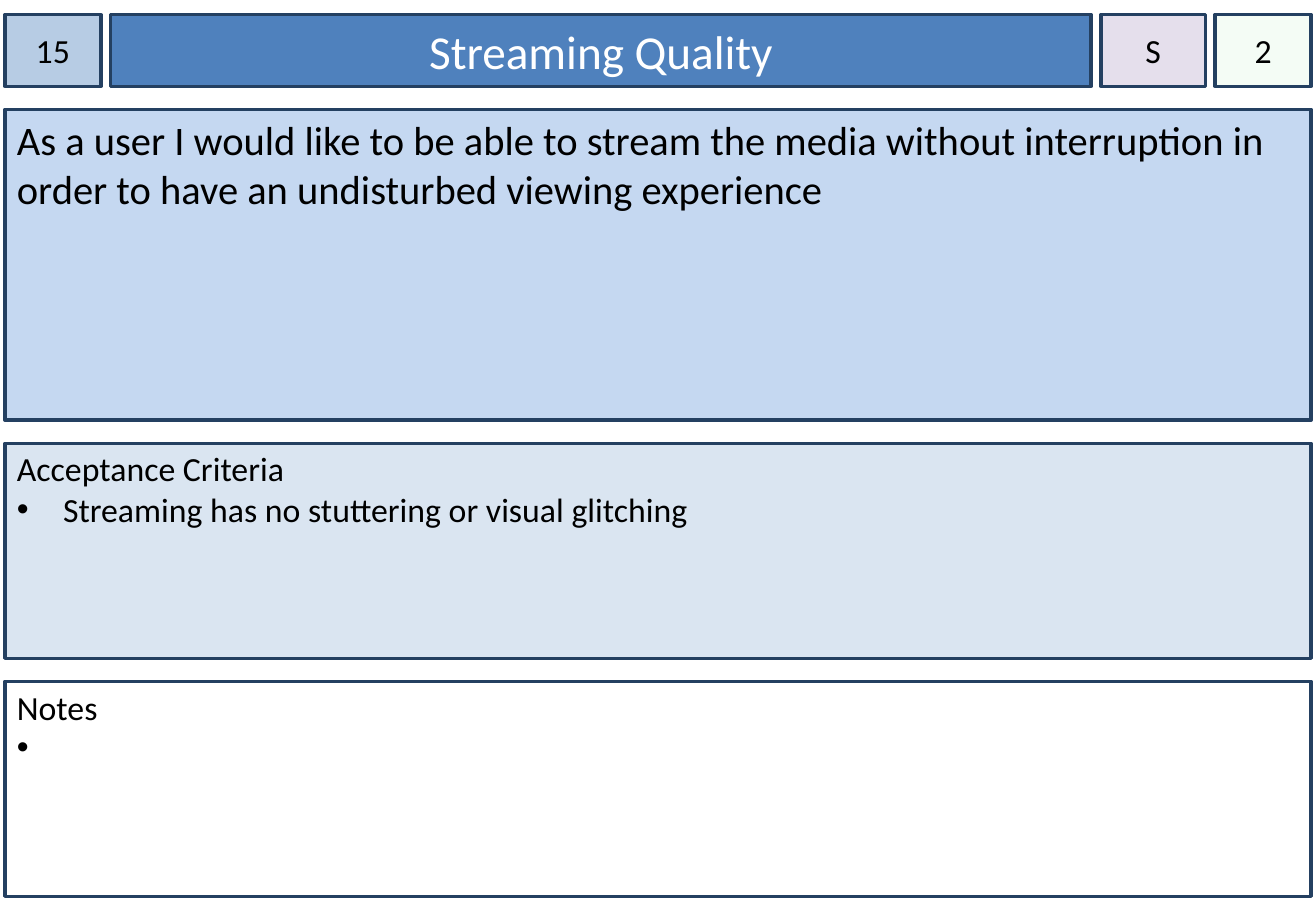
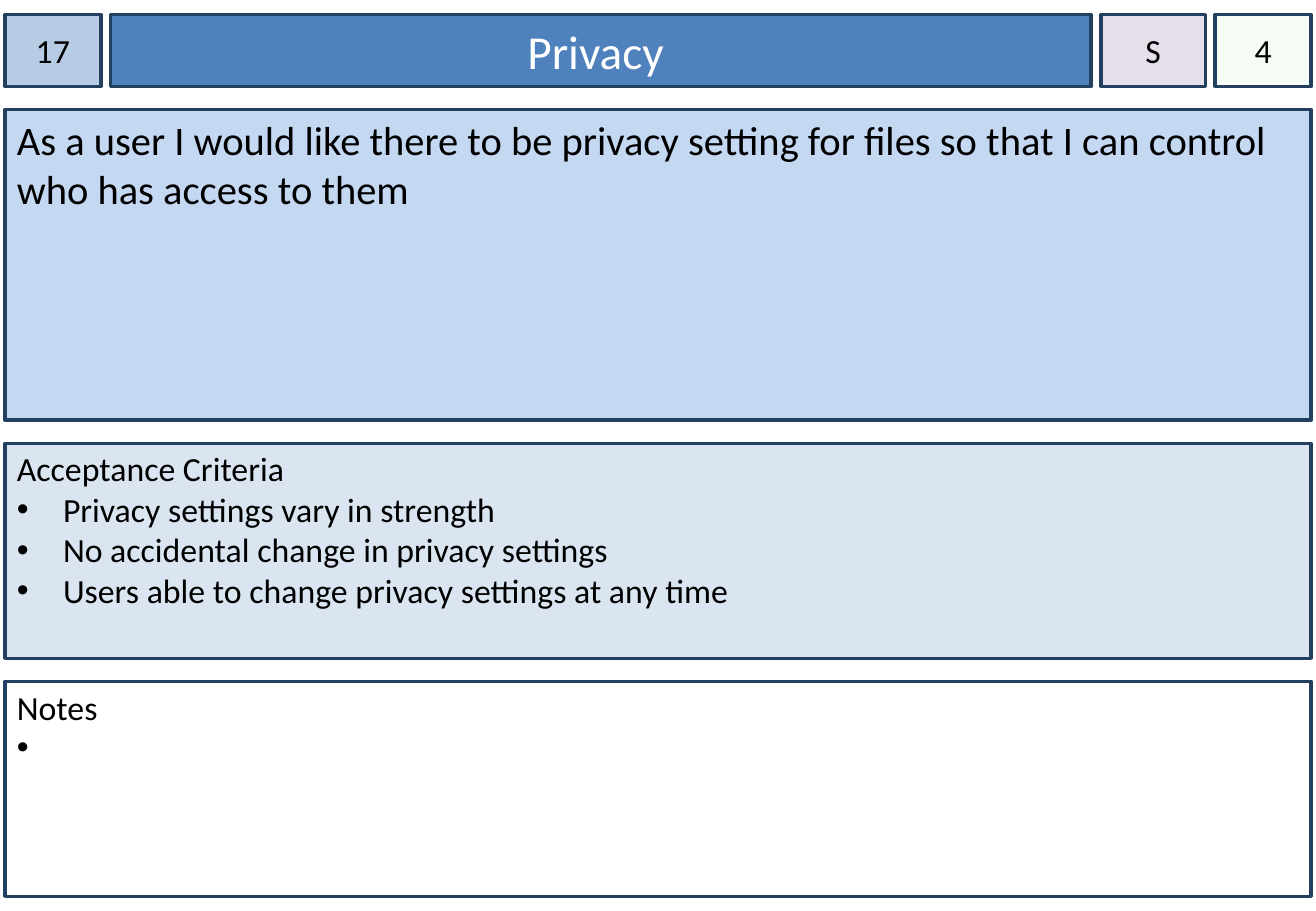
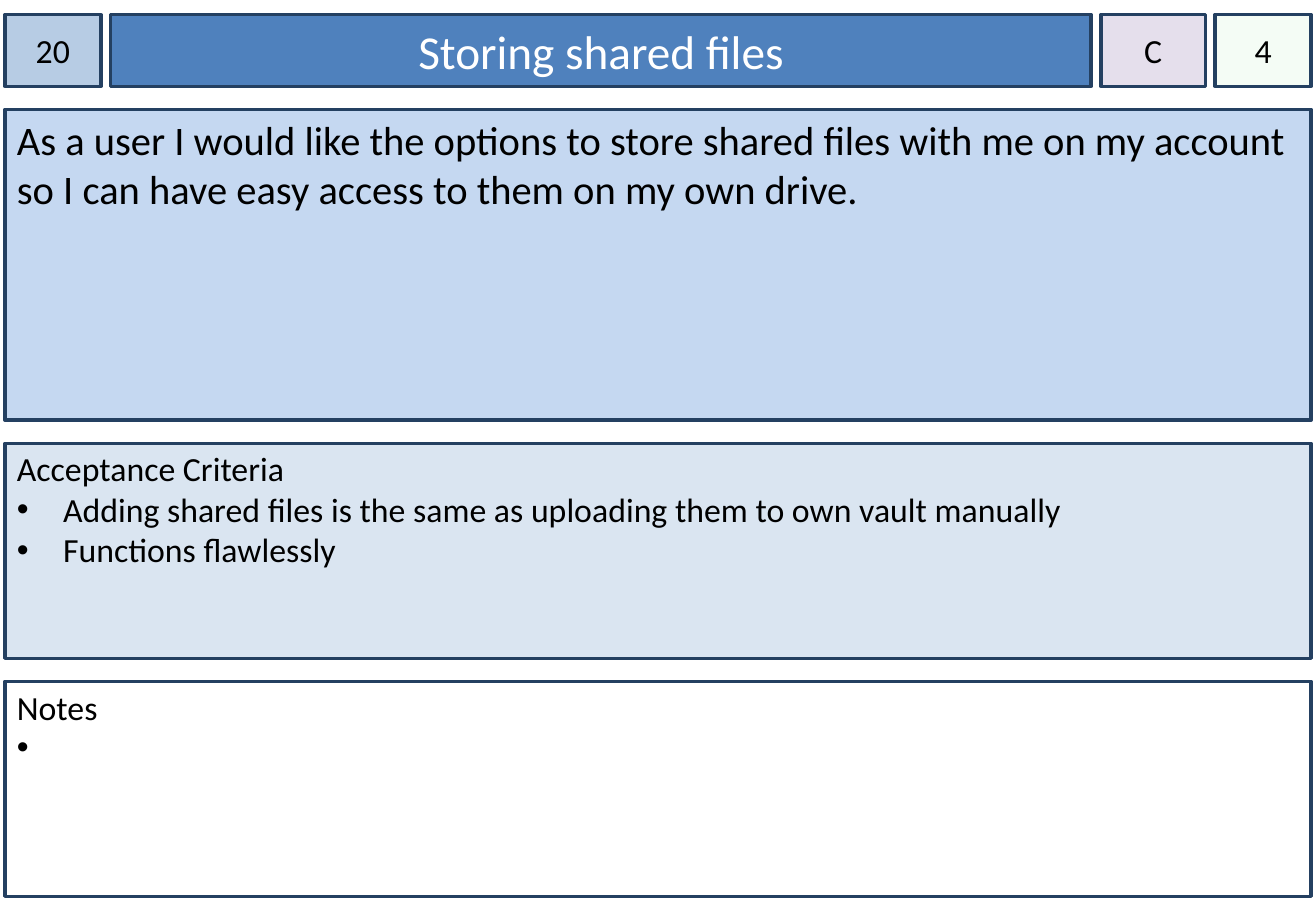
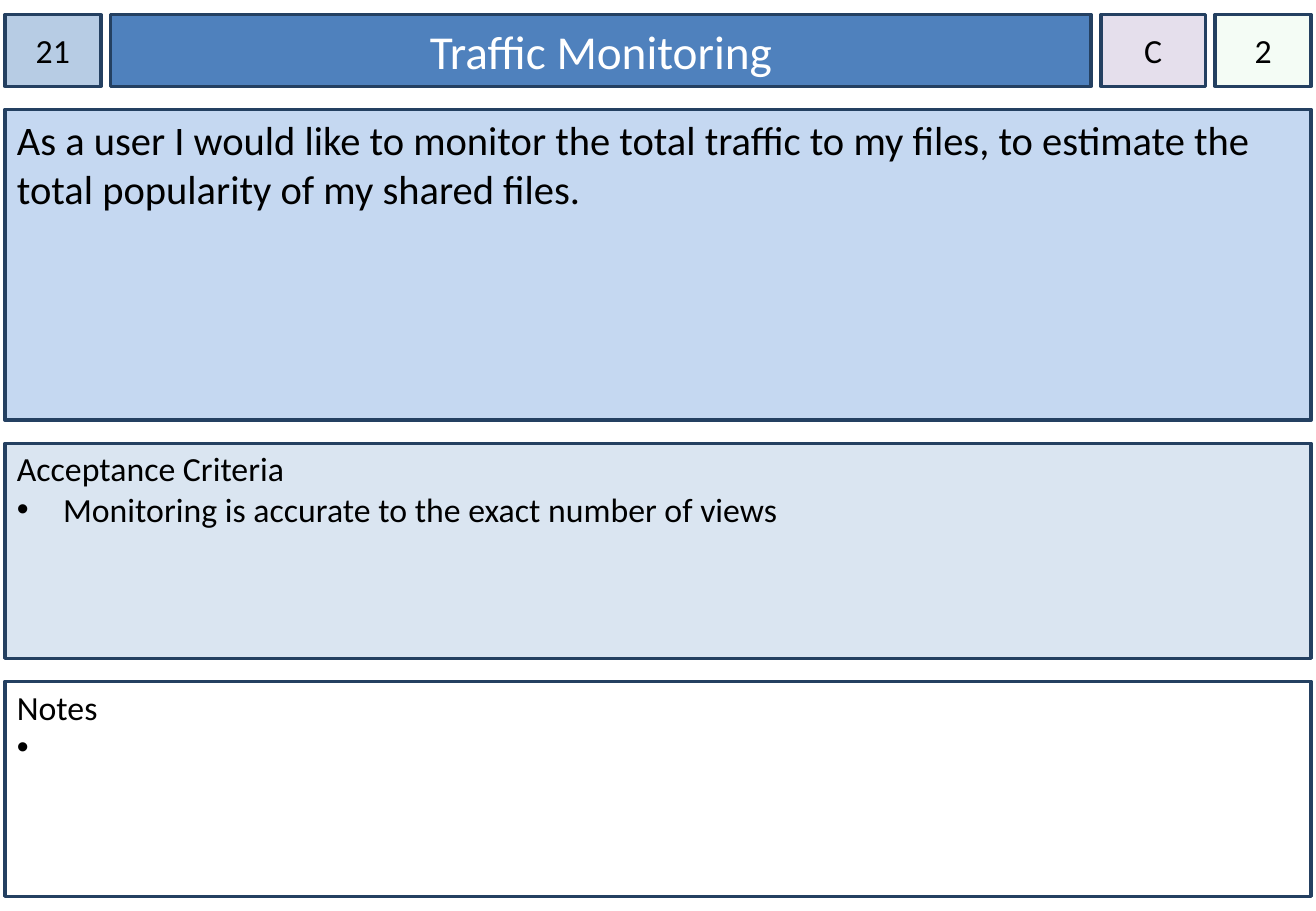
from dataclasses import dataclass

from lxml import etree
from pptx import Presentation
from pptx import util as u
from pptx.dml.color import RGBColor
from pptx.enum import shapes, text
from pptx.oxml import ns

FONT = "Calibri"
BLACK = RGBColor(0x00, 0x00, 0x00)
WHITE = RGBColor(0xFF, 0xFF, 0xFF)
NAVY = RGBColor(0x24, 0x40, 0x61)
TITLE_BLUE = RGBColor(0x4F, 0x81, 0xBD)
NUMBER_BLUE = RGBColor(0xB7, 0xCC, 0xE4)
STORY_BLUE = RGBColor(0xC5, 0xD8, 0xF1)
CRITERIA_BLUE = RGBColor(0xDA, 0xE5, 0xF1)
PRIORITY_LILAC = RGBColor(0xE5, 0xDF, 0xEC)
ESTIMATE_GREEN = RGBColor(0xCC, 0xF0, 0xCD)

SLIDE_WIDTH, SLIDE_HEIGHT = 10.83, 7.5
LEFT, TOP = 0.04, 0.12
COLUMN_GAP, ROW_GAP = 0.08, 0.19
FULL_WIDTH = 10.75


def tracks(start, gap, sizes):
    """Return (start, size) for consecutive tracks separated by equal gaps."""
    return [(start + sum(sizes[:i]) + gap * i, size) for i, size in enumerate(sizes)]


NUMBER, TITLE, PRIORITY, ESTIMATE = tracks(LEFT, COLUMN_GAP, [0.79, 8.07, 0.86, 0.79])
HEADER, STORY, CRITERIA, NOTES = tracks(TOP, ROW_GAP, [0.59, 2.56, 1.77, 1.77])
FULL = (LEFT, FULL_WIDTH)


@dataclass
class Card:
    number: int
    title: str
    priority: str
    estimate: int
    story: str
    criteria: list


CARDS = [
    Card(15, "Streaming Quality", "S", 2,
         "As a user I would like to be able to stream the media without interruption "
         "in order to have an undisturbed viewing experience",
         ["Streaming has no stuttering or visual glitching"]),
    Card(17, "Privacy ", "S", 4,
         "As a user I would like there to be privacy setting for files so that I can "
         "control who has access to them",
         ["Privacy settings vary in strength",
          "No accidental change in privacy settings",
          "Users able to change privacy settings at any time"]),
    Card(20, "Storing shared files", "C", 4,
         "As a user I would like the options to store shared files with me on my "
         "account so I can have easy access to them on my own drive.",
         ["Adding shared files is the same as uploading them to own vault manually",
          "Functions flawlessly"]),
    Card(21, "Traffic Monitoring", "C", 2,
         "As a user I would like to monitor the total traffic to my files, to estimate "
         "the total popularity of my shared files.",
         ["Monitoring is accurate to the exact number of views"]),
]


def add_box(slide):
    box = slide.shapes.add_shape(shapes.MSO_SHAPE.RECTANGLE, 0, 0, 0, 0)
    box.shadow.inherit = False
    return box


def format_box(shape, column, row, fill, anchor, side_inset=0.1, top_inset=0.05):
    """Place a shape in a grid cell and give it the card's frame."""
    shape.left, shape.width = (u.Inches(length) for length in column)
    shape.top, shape.height = (u.Inches(length) for length in row)
    shape.fill.solid()
    shape.fill.fore_color.rgb = fill
    shape.line.color.rgb = NAVY
    shape.line.width = u.Pt(2)
    frame = shape.text_frame
    frame.word_wrap = True
    frame.auto_size = text.MSO_AUTO_SIZE.NONE
    frame.vertical_anchor = anchor
    frame.margin_left = frame.margin_right = u.Inches(side_inset)
    frame.margin_top = u.Inches(top_inset)
    frame.margin_bottom = u.Inches(0.05)


def write(paragraph, content, size, align=text.PP_ALIGN.LEFT, color=BLACK):
    paragraph.text = content
    paragraph.alignment = align
    paragraph.font.name = FONT
    paragraph.font.size = u.Pt(size)
    paragraph.font.color.rgb = color


def set_bullet(paragraph, indent):
    properties = paragraph._p.get_or_add_pPr()
    properties.set("marL", str(u.Inches(indent)))
    properties.set("indent", str(-u.Inches(indent)))
    etree.SubElement(properties, ns.qn("a:buFont"), typeface="Arial")
    etree.SubElement(properties, ns.qn("a:buChar"), char="•")


def set_opacity(shape, percent):
    color = shape.fill._xPr.find(ns.qn("a:solidFill"))[0]
    etree.SubElement(color, ns.qn("a:alpha"), val=str(percent * 1000))


def fill_title(slide, content):
    title = slide.shapes.title
    format_box(title, TITLE, HEADER, TITLE_BLUE, text.MSO_ANCHOR.MIDDLE)
    write(title.text_frame.paragraphs[0], content, 28, text.PP_ALIGN.CENTER, WHITE)


def add_badge(slide, column, fill, content):
    badge = add_box(slide)
    format_box(badge, column, HEADER, fill, text.MSO_ANCHOR.MIDDLE, side_inset=0)
    write(badge.text_frame.paragraphs[0], str(content), 20, text.PP_ALIGN.CENTER)
    return badge


def add_panel(slide, row, fill, heading, size=20, bullets=(), indent=0.0, top_inset=0.04):
    panel = add_box(slide)
    format_box(panel, FULL, row, fill, text.MSO_ANCHOR.TOP, top_inset=top_inset)
    write(panel.text_frame.paragraphs[0], heading, size)
    for bullet in bullets:
        paragraph = panel.text_frame.add_paragraph()
        set_bullet(paragraph, indent)
        write(paragraph, bullet, size)


def add_card(presentation, card):
    slide = presentation.slides.add_slide(presentation.slide_layouts[5])
    fill_title(slide, card.title)
    add_badge(slide, NUMBER, NUMBER_BLUE, card.number)
    add_badge(slide, PRIORITY, PRIORITY_LILAC, card.priority)
    set_opacity(add_badge(slide, ESTIMATE, ESTIMATE_GREEN, card.estimate), 20)
    add_panel(slide, STORY, STORY_BLUE, card.story, size=24, top_inset=0.05)
    add_panel(slide, CRITERIA, CRITERIA_BLUE, "Acceptance Criteria",
              bullets=card.criteria, indent=0.38)
    # The single space keeps the bullet of the open note visible.
    add_panel(slide, NOTES, WHITE, "Notes", bullets=[" "], indent=0.2)


def main():
    presentation = Presentation()
    presentation.slide_width = u.Inches(SLIDE_WIDTH)
    presentation.slide_height = u.Inches(SLIDE_HEIGHT)
    for card in CARDS:
        add_card(presentation, card)
    presentation.save("out.pptx")


if __name__ == "__main__":
    main()
